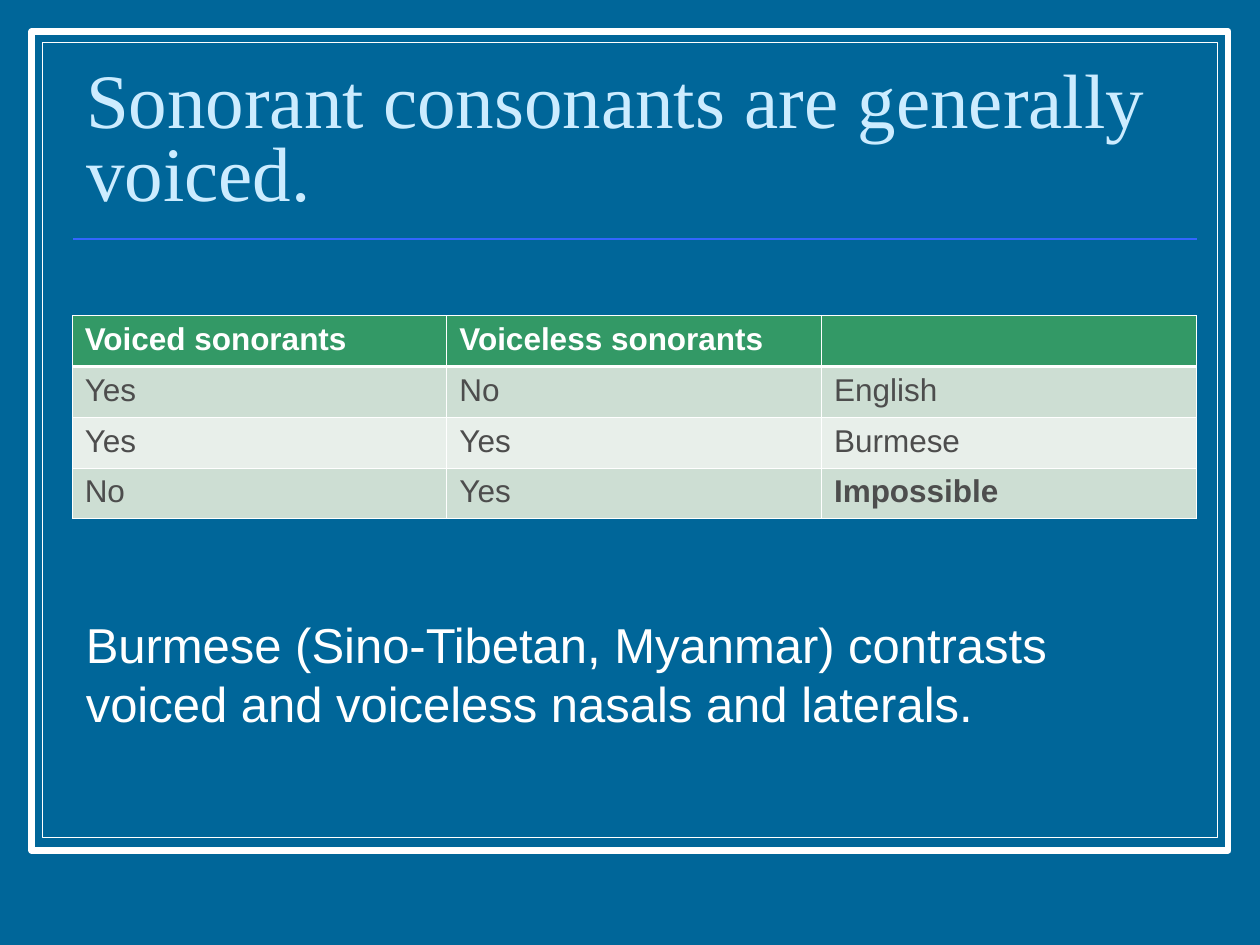
from lxml import etree
from pptx import Presentation
from pptx import util as u
from pptx.dml.color import RGBColor
from pptx.enum import shapes, text
from pptx.oxml import ns

BLUE = RGBColor(0x00, 0x66, 0x99)
WHITE = RGBColor(0xFF, 0xFF, 0xFF)
PALE_BLUE = RGBColor(0xCC, 0xEC, 0xFF)
RULE_BLUE = RGBColor(0x33, 0x66, 0xFF)
GREEN = RGBColor(0x33, 0x99, 0x66)
BAND_DARK = RGBColor(0xCD, 0xDE, 0xD3)
BAND_LIGHT = RGBColor(0xE8, 0xEF, 0xEA)
GRAY = RGBColor(0x4D, 0x4D, 0x4D)

WIDTH, HEIGHT = u.Inches(10), u.Inches(7.5)
THIN, THICK = 0.45, 1.47

SONORANTS = [
    ("Voiced sonorants", "Voiceless sonorants", ""),
    ("Yes", "No", "English"),
    ("Yes", "Yes", "Burmese"),
    ("No", "Yes", "Impossible"),
]


def percent_box(left, top, width, height):
    return (int(WIDTH * left / 100), int(HEIGHT * top / 100),
            int(WIDTH * width / 100), int(HEIGHT * height / 100))


def style_font(font, name, size, color, bold=False):
    font.name = name
    font.size = u.Pt(size)
    font.color.rgb = color
    font.bold = bold


def add_frame(slide, box, weight):
    frame = slide.shapes.add_shape(shapes.MSO_SHAPE.RECTANGLE, *box)
    frame.shadow.inherit = False
    frame.fill.solid()
    frame.fill.fore_color.rgb = BLUE
    frame.line.color.rgb = WHITE
    frame.line.width = u.Pt(weight)


def add_rule(slide, box):
    left, top, width, height = box
    rule = slide.shapes.add_connector(
        shapes.MSO_CONNECTOR.STRAIGHT, left, top, left + width, top + height)
    rule.line.color.rgb = RULE_BLUE
    rule.line.width = u.Pt(1)
    etree.SubElement(rule._element.spPr, ns.qn("a:effectLst"))


def place_title(slide, box):
    title = slide.shapes.title
    title.left, title.top, title.width, title.height = box
    slide.shapes._spTree.append(title._element)
    frame = title.text_frame
    frame.text = "Sonorant consonants are generally voiced."
    frame.word_wrap = True
    frame.auto_size = text.MSO_AUTO_SIZE.NONE
    frame.vertical_anchor = text.MSO_ANCHOR.BOTTOM
    heading = frame.paragraphs[0]
    heading.alignment = text.PP_ALIGN.LEFT
    heading.line_spacing = 0.8
    style_font(heading.runs[0].font, "Times New Roman", 44, PALE_BLUE)


def set_borders(cell, weights):
    properties = cell._tc.get_or_add_tcPr()
    for position, (side, weight) in enumerate(weights.items()):
        border = etree.Element(ns.qn(f"a:{side}"), w=str(int(u.Pt(weight))))
        fill = etree.SubElement(border, ns.qn("a:solidFill"))
        etree.SubElement(fill, ns.qn("a:srgbClr"), val=str(WHITE))
        properties.insert(position, border)


def add_sonorant_table(slide, box):
    rows, columns = len(SONORANTS), len(SONORANTS[0])
    table = slide.shapes.add_table(rows, columns, *box).table
    for r, labels in enumerate(SONORANTS):
        header = r == 0
        band = GREEN if header else BAND_DARK if r % 2 else BAND_LIGHT
        for c, label in enumerate(labels):
            cell = table.cell(r, c)
            cell.text_frame.text = label
            cell.fill.solid()
            cell.fill.fore_color.rgb = band
            paragraph = cell.text_frame.paragraphs[0]
            style_font(paragraph.font, "Arial", 18, WHITE if header else GRAY)
            for run in paragraph.runs:
                style_font(run.font, "Arial", 18, WHITE if header else GRAY,
                           header or label == "Impossible")
            set_borders(cell, {"lnL": THIN, "lnR": THIN,
                               "lnT": THICK if r == 1 else THIN,
                               "lnB": THICK if header else THIN})


def add_note(slide, box):
    frame = slide.shapes.add_textbox(*box).text_frame
    frame.word_wrap = True
    frame.auto_size = text.MSO_AUTO_SIZE.SHAPE_TO_FIT_TEXT
    frame.text = ("Burmese (Sino-Tibetan, Myanmar) contrasts voiced and "
                  "voiceless nasals and laterals.")
    style_font(frame.paragraphs[0].runs[0].font, "Arial", 28, WHITE)


def main():
    deck = Presentation()
    deck.slide_width, deck.slide_height = WIDTH, HEIGHT
    slide = deck.slides.add_slide(deck.slide_layouts.get_by_name("Title Only"))
    slide.background.fill.solid()
    slide.background.fill.fore_color.rgb = BLUE
    add_frame(slide, percent_box(2.5, 3.33, 95, 86.67), 3.5)
    add_frame(slide, percent_box(3.35, 4.5, 93.3, 84.1), 0.75)
    add_rule(slide, percent_box(5.83, 25.28, 89.2, 0))
    place_title(slide, percent_box(5.83, 6.94, 89.2, 16.67))
    add_sonorant_table(slide, percent_box(5.73, 33.4, 89.2, 21.5))
    add_note(slide, percent_box(5.83, 64.4, 86.7, 13.87))
    deck.save("out.pptx")


if __name__ == "__main__":
    main()
